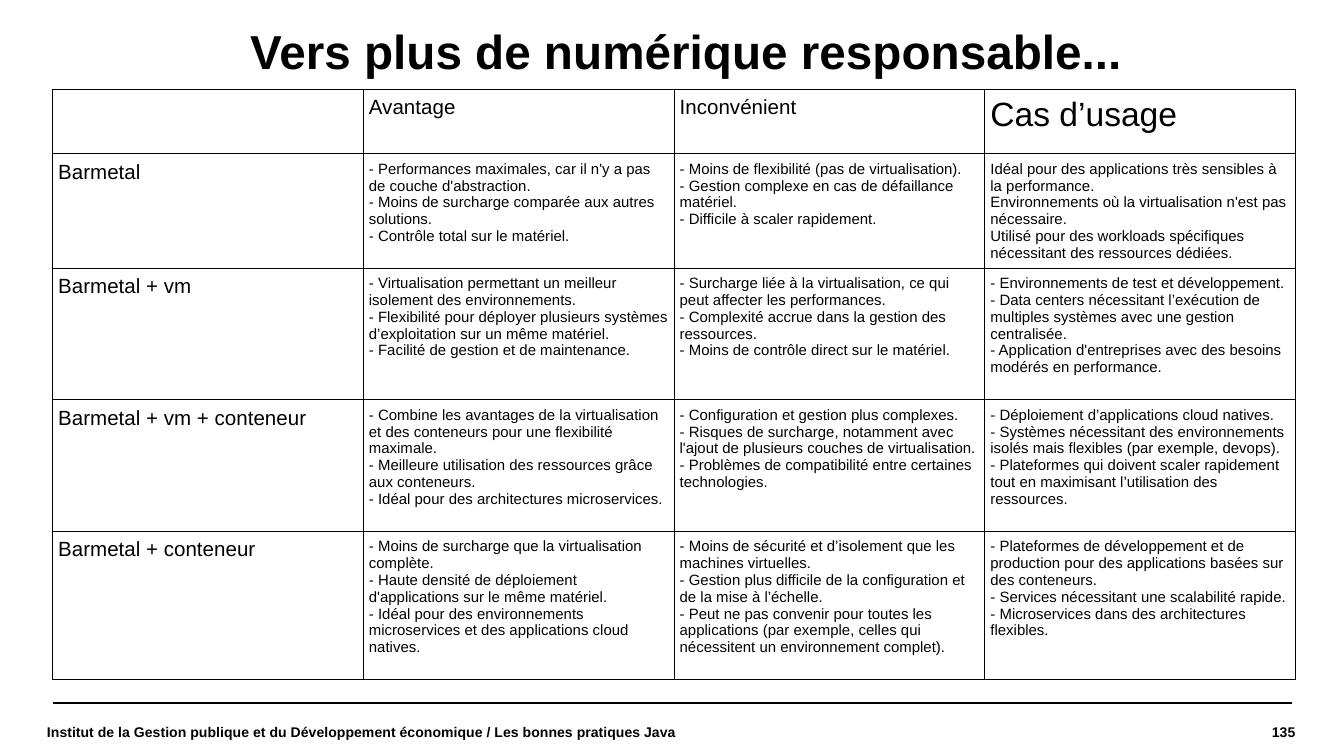
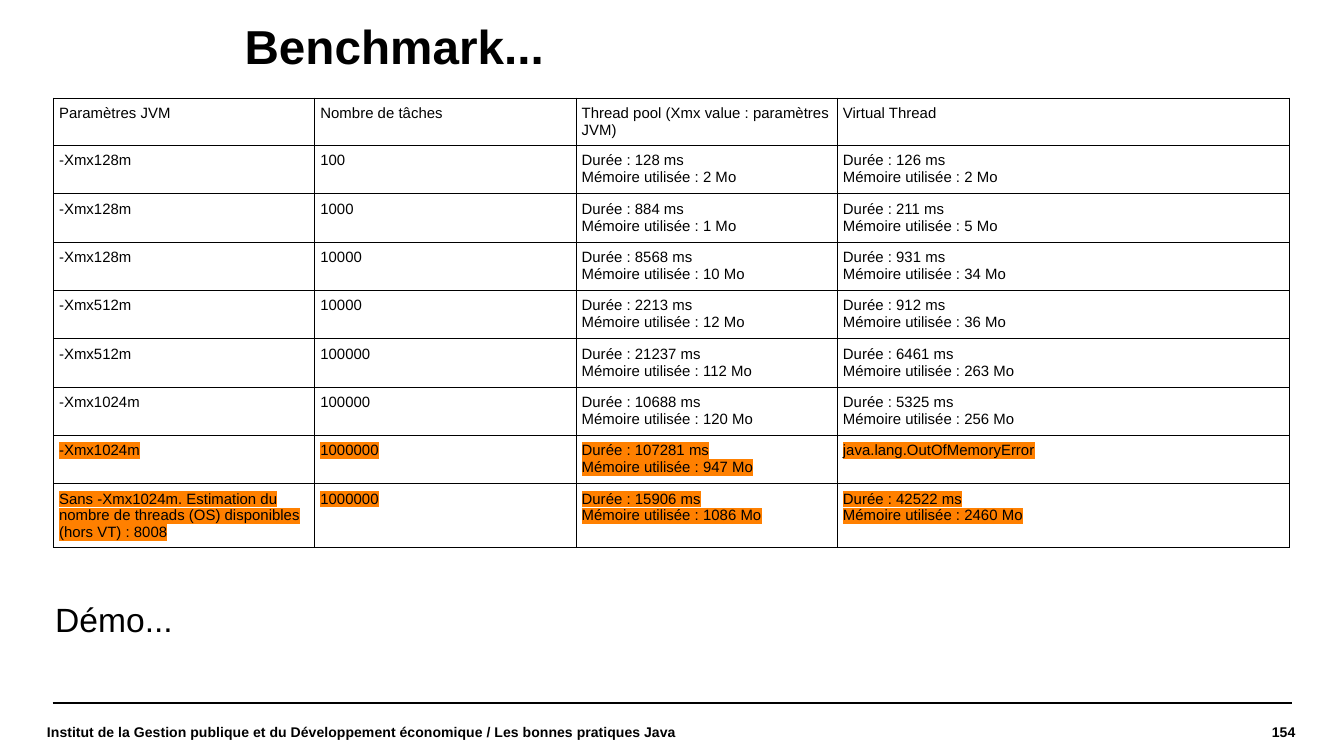
from lxml import etree
from pptx import Presentation
from pptx.dml.color import RGBColor
from pptx.enum.shapes import MSO_CONNECTOR
from pptx.enum.text import MSO_ANCHOR, MSO_AUTO_SIZE, PP_ALIGN
from pptx.oxml.ns import qn
from pptx.util import Pt

STRAIGHT = MSO_CONNECTOR.STRAIGHT
TOP, MIDDLE = MSO_ANCHOR.TOP, MSO_ANCHOR.MIDDLE
LEFT, RIGHT = PP_ALIGN.LEFT, PP_ALIGN.RIGHT
NO_FIT = MSO_AUTO_SIZE.NONE

PAGE_SIZE = (720, 405)
FONT = "Arial"
BLACK = "000000"
ORANGE = "FF8000"
TITLE_SIZE, LARGE, MEDIUM, SMALL, FOOTER_SIZE = 25.5, 18, 11, 8, 7.5
CELL_INSETS = (2.95, 3.6, 2.95, 3.6)
FOOTER = "Institut de la Gestion publique et du Développement économique / Les bonnes pratiques Java"

HOSTING_HEADINGS = ["", "Avantage", "Inconvénient", "Cas d’usage"]
HOSTING = [
    ["Barmetal",
     ["- Performances maximales, car il n'y a pas de couche d'abstraction.",
      "- Moins de surcharge comparée aux autres solutions.",
      "- Contrôle total sur le matériel."],
     ["- Moins de flexibilité (pas de virtualisation).",
      "- Gestion complexe en cas de défaillance matériel.",
      "- Difficile à scaler rapidement."],
     ["Idéal pour des applications très sensibles à la performance.",
      "Environnements où la virtualisation n'est pas nécessaire.",
      "Utilisé pour des workloads spécifiques nécessitant des ressources dédiées."]],
    ["Barmetal + vm",
     ["- Virtualisation permettant un meilleur isolement des environnements.",
      "- Flexibilité pour déployer plusieurs systèmes d’exploitation sur un même matériel.",
      "- Facilité de gestion et de maintenance."],
     ["- Surcharge liée à la virtualisation, ce qui peut affecter les performances.",
      "- Complexité accrue dans la gestion des ressources.",
      "- Moins de contrôle direct sur le matériel."],
     ["- Environnements de test et développement.",
      "- Data centers nécessitant l’exécution de multiples systèmes avec une gestion centralisée.",
      "- Application d'entreprises avec des besoins modérés en performance."]],
    ["Barmetal + vm + conteneur",
     ["- Combine les avantages de la virtualisation et des conteneurs pour une flexibilité maximale.",
      "- Meilleure utilisation des ressources grâce aux conteneurs.",
      "- Idéal pour des architectures microservices."],
     ["- Configuration et gestion plus complexes.",
      "- Risques de surcharge, notamment avec l'ajout de plusieurs couches de virtualisation.",
      "- Problèmes de compatibilité entre certaines technologies."],
     ["- Déploiement d’applications cloud natives.",
      "- Systèmes nécessitant des environnements isolés mais flexibles (par exemple, devops).",
      "- Plateformes qui doivent scaler rapidement tout en maximisant l’utilisation des ressources."]],
    ["Barmetal + conteneur",
     ["- Moins de surcharge que la virtualisation complète.",
      "- Haute densité de déploiement d'applications sur le même matériel.",
      "- Idéal pour des environnements microservices et des applications cloud natives."],
     ["- Moins de sécurité et d’isolement que les machines virtuelles.",
      "- Gestion plus difficile de la configuration et de la mise à l’échelle.",
      "- Peut ne pas convenir pour toutes les applications (par exemple, celles qui nécessitent un environnement complet)."],
     ["- Plateformes de développement et de production pour des applications basées sur des conteneurs.",
      "- Services nécessitant une scalabilité rapide.",
      "- Microservices dans des architectures flexibles."]],
]

BENCHMARK_HEADINGS = ["Paramètres JVM", "Nombre de tâches",
                      "Thread pool (Xmx value : paramètres JVM)", "Virtual Thread"]
BENCHMARK = [
    ("-Xmx128m", 100, (128, 2), (126, 2)),
    ("-Xmx128m", 1000, (884, 1), (211, 5)),
    ("-Xmx128m", 10000, (8568, 10), (931, 34)),
    ("-Xmx512m", 10000, (2213, 12), (912, 36)),
    ("-Xmx512m", 100000, (21237, 112), (6461, 263)),
    ("-Xmx1024m", 100000, (10688, 120), (5325, 256)),
    ("-Xmx1024m", 1000000, (107281, 947), None),
    ("Sans -Xmx1024m. Estimation du nombre de threads (OS) disponibles (hors VT) : 8008",
     1000000, (15906, 1086), (42522, 2460)),
]
HIGHLIGHTED_TASKS = 1000000


def colour(value):
    return RGBColor.from_string(value)


def add_span(para, text, size, bold=False, highlight=None):
    span = para.add_run()
    span.text = text
    span.font.size = Pt(size)
    span.font.bold = bold
    span.font.color.rgb = colour(BLACK)
    if highlight:
        mark = etree.SubElement(span.font._element, qn("a:highlight"))
        etree.SubElement(mark, qn("a:srgbClr"), val=highlight)
    span.font.name = FONT


def set_insets(target, insets):
    (target.margin_left, target.margin_top,
     target.margin_right, target.margin_bottom) = map(Pt, insets)


def fill_frame(box, text, size, bold=False, anchor=TOP, align=LEFT, insets=(0, 0, 0, 0)):
    frame = box.text_frame
    frame.word_wrap = True
    frame.auto_size = NO_FIT
    frame.vertical_anchor = anchor
    set_insets(frame, insets)
    para = frame.paragraphs[0]
    para.alignment = align
    add_span(para, text, size, bold)
    return para


def add_text(page, place, text, size, **style):
    box = page.shapes.add_textbox(*map(Pt, place))
    fill_frame(box, text, size, **style)


def add_footer(page, place, number):
    left, top, width, height = place
    rule = page.shapes.add_connector(STRAIGHT, Pt(left + 3), Pt(top), Pt(left + width - 2), Pt(top))
    rule.line.color.rgb = colour(BLACK)
    rule.line.width = Pt(0.8)
    etree.SubElement(rule._element.spPr, qn("a:effectLst"))
    text_top, text_height, number_width = top + 1.5, height - 1.5, 106
    add_text(page, (left + width - number_width, text_top, number_width, text_height),
             str(number), FOOTER_SIZE, bold=True, anchor=MIDDLE, align=RIGHT)
    add_text(page, (left, text_top, 348.5, text_height),
             FOOTER, FOOTER_SIZE, bold=True, anchor=MIDDLE)


def add_page(deck, title, left, top, number):
    page = deck.slides.add_slide(deck.slide_layouts[5])
    box = page.shapes.title
    box.left, box.top, box.width, box.height = map(Pt, (left, top, 569, 29))
    para = fill_frame(box, title, TITLE_SIZE, bold=True)
    para.line_spacing = 0.9
    add_footer(page, (25.2, 376.5, 668.8, 29.5), number)
    return page


def outline_cell(cell):
    properties = cell._tc.get_or_add_tcPr()
    for side in ("a:lnL", "a:lnR", "a:lnT", "a:lnB"):
        edge = etree.SubElement(properties, qn(side), w=str(Pt(0.57)))
        fill = etree.SubElement(edge, qn("a:solidFill"))
        etree.SubElement(fill, qn("a:srgbClr"), val=BLACK)
    cell.fill.background()


def write_cell(cell, lines, size, highlight=None):
    set_insets(cell, CELL_INSETS)
    outline_cell(cell)
    frame = cell.text_frame
    for index, line in enumerate(lines):
        para = frame.add_paragraph() if index else frame.paragraphs[0]
        add_span(para, line, size, highlight=highlight)


def add_grid(page, left, top, widths, heights):
    frame = page.shapes.add_table(len(heights), len(widths), Pt(left), Pt(top),
                                  Pt(sum(widths)), Pt(sum(heights)))
    table = frame.table
    table.first_row = False
    table.horz_banding = False
    for column, width in zip(table.columns, widths):
        column.width = Pt(width)
    for row, height in zip(table.rows, heights):
        row.height = Pt(height)
    return table


def add_hosting_table(page, left, top):
    table = add_grid(page, left, top, [166.5] * 4, [34.5, 61, 70.5, 70.5, 79.5])
    for column, heading in enumerate(HOSTING_HEADINGS):
        size = LARGE if column == 3 else MEDIUM
        write_cell(table.cell(0, column), [heading] if heading else [], size)
    for row, (name, *details) in enumerate(HOSTING, 1):
        write_cell(table.cell(row, 0), [name], MEDIUM)
        for column, lines in enumerate(details, 1):
            write_cell(table.cell(row, column), lines, SMALL)


def measure_lines(measure):
    if measure is None:
        return ["java.lang.OutOfMemoryError"]
    duration, memory = measure
    return [f"Durée : {duration} ms", f"Mémoire utilisée : {memory} Mo"]


def add_benchmark_table(page, left, top):
    table = add_grid(page, left, top, [140] * 3 + [242], [25.4] + [25.9] * 7 + [34.3])
    for column, heading in enumerate(BENCHMARK_HEADINGS):
        write_cell(table.cell(0, column), [heading], SMALL)
    for row, (setting, tasks, pool, virtual) in enumerate(BENCHMARK, 1):
        highlight = ORANGE if tasks == HIGHLIGHTED_TASKS else None
        contents = [[setting], [str(tasks)], measure_lines(pool), measure_lines(virtual)]
        for column, lines in enumerate(contents):
            write_cell(table.cell(row, column), lines, SMALL, highlight)


def build_hosting_page(deck):
    page = add_page(deck, "Vers plus de numérique responsable...", 134, 15, 135)
    add_hosting_table(page, 28.2, 47.9)


def build_benchmark_page(deck):
    page = add_page(deck, "Benchmark...", 131, 12.5, 154)
    add_text(page, (22.5, 317.5, 170, 27.5), "Démo...", LARGE, insets=(7.2, 3.6, 7.2, 3.6))
    add_benchmark_table(page, 28.7, 52.6)


def main():
    deck = Presentation()
    deck.slide_width, deck.slide_height = map(Pt, PAGE_SIZE)
    build_hosting_page(deck)
    build_benchmark_page(deck)
    deck.save("out.pptx")


if __name__ == "__main__":
    main()
